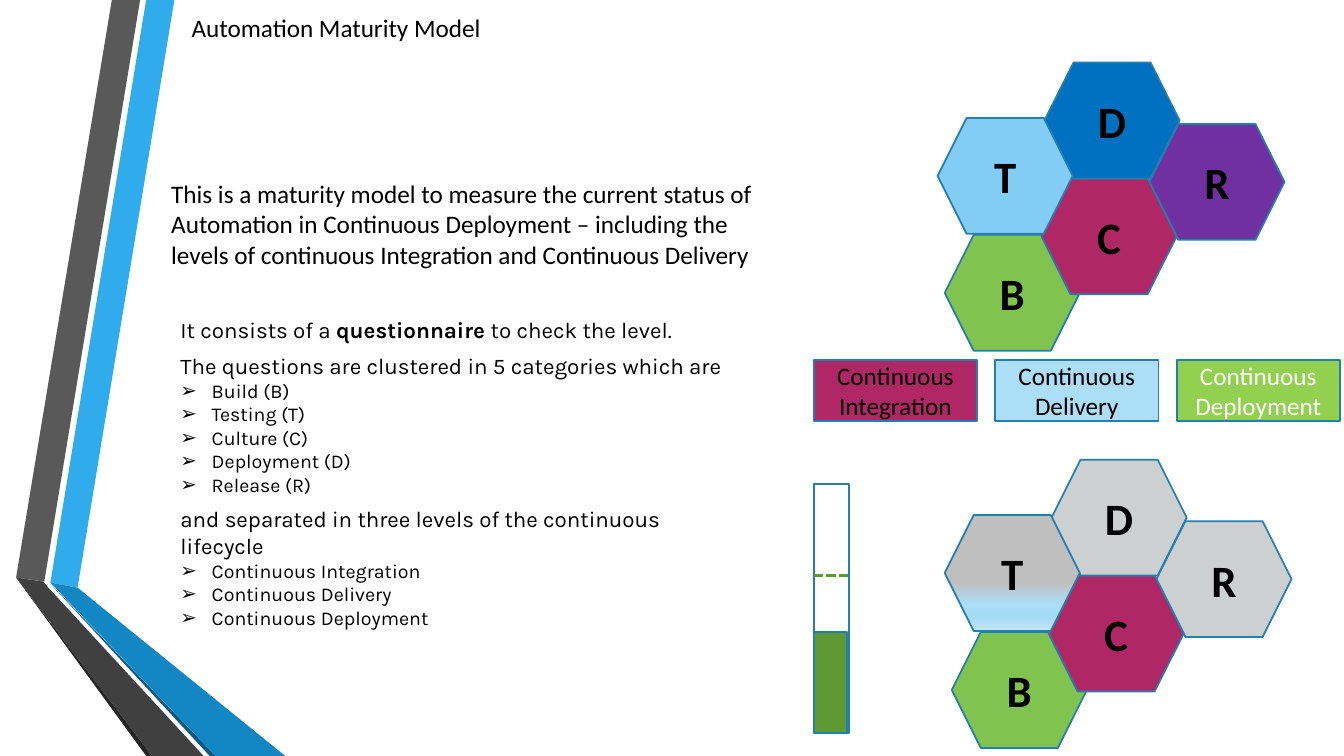
import copy
from dataclasses import dataclass

import pptx
import pptx.dml.color
import pptx.enum.dml
import pptx.enum.shapes
import pptx.enum.text
import pptx.oxml
import pptx.oxml.ns
import pptx.util

Inches, Pt = pptx.util.Inches, pptx.util.Pt
RGBColor = pptx.dml.color.RGBColor
Shapes = pptx.enum.shapes.MSO_SHAPE
Align = pptx.enum.text.PP_ALIGN
Anchor = pptx.enum.text.MSO_ANCHOR
qn = pptx.oxml.ns.qn

BLACK = RGBColor(0x00, 0x00, 0x00)
WHITE = RGBColor(0xFF, 0xFF, 0xFF)
OUTLINE = RGBColor(0x24, 0x7F, 0xAF)
GREEN = RGBColor(0x80, 0xC3, 0x4F)
LIME = RGBColor(0x92, 0xD0, 0x50)
DARK_GREEN = RGBColor(0x5F, 0x99, 0x34)
PURPLE = RGBColor(0x70, 0x30, 0xA0)
CRIMSON = RGBColor(0xAF, 0x27, 0x64)
BLUE = RGBColor(0x00, 0x70, 0xC0)
SKY = RGBColor(0x83, 0xCD, 0xF4)
PALE_BLUE = RGBColor(0xAC, 0xDE, 0xF7)
GREY = RGBColor(0xCD, 0xD0, 0xD1)
PARTLY_REACHED = [(0.58, RGBColor(0xBF, 0xBF, 0xBF)), (0.77, PALE_BLUE),
                  (0.86, RGBColor(0xA2, 0xDA, 0xF6)), (1, RGBColor(0xC1, 0xE6, 0xF9))]


@dataclass
class Ribbon:
    color: RGBColor
    points: list[tuple[float, float]]


@dataclass
class Category:
    letter: str
    left: float
    top: float
    color: RGBColor
    status_color: RGBColor


@dataclass
class Level:
    label: str
    color: RGBColor
    text_color: RGBColor


RIBBONS = [
    Ribbon(RGBColor(0x30, 0xAC, 0xEC), [(0.5, 5.78), (0.77, 5.83), (1.73, 0), (1.45, 0)]),
    Ribbon(RGBColor(0x59, 0x59, 0x59), [(1.39, 0), (1.11, 0), (0.16, 5.73), (0.44, 5.77)]),
    Ribbon(RGBColor(0x26, 0x26, 0x26), [(0.16, 5.73), (1.45, 7.5), (1.51, 7.5)]),
    Ribbon(RGBColor(0x0C, 0x5A, 0x82), [(0.5, 5.79), (2.08, 7.5), (2.14, 7.5)]),
    Ribbon(RGBColor(0x12, 0x87, 0xC3),
           [(0.5, 5.78), (2.14, 7.5), (2.83, 7.5), (0.77, 5.83)]),
    Ribbon(RGBColor(0x40, 0x40, 0x40),
           [(2.02, 7.5), (0.48, 5.83), (0.43, 5.77), (0.16, 5.73), (1.51, 7.5)]),
]
CATEGORIES = [
    Category("B", 9.37, 2.33, GREEN, GREEN),
    Category("R", 11.4, 1.23, PURPLE, GREY),
    Category("C", 10.33, 1.77, CRIMSON, CRIMSON),
    Category("D", 10.36, 0.62, BLUE, GREY),
    Category("T", 9.3, 1.17, SKY, GREY),
]
LEVELS = [
    Level("Continuous Integration", CRIMSON, BLACK),
    Level("Continuous Delivery", PALE_BLUE, BLACK),
    Level("Continuous Deployment", LIME, WHITE),
]
STATUS_SHIFT = (0.07, 3.94)

deck = pptx.Presentation()
deck.slide_width, deck.slide_height = Inches(13.33), Inches(7.5)
slide = deck.slides.add_slide(deck.slide_layouts[1])


def box(left: float, top: float, width: float, height: float) -> list[int]:
    return [Inches(value) for value in (left, top, width, height)]


def place(part, left: float, top: float, width: float, height: float) -> None:
    part.left, part.top, part.width, part.height = box(left, top, width, height)


def style(paragraph, size: float, font: str = "Calibri", color: RGBColor = BLACK,
          bold: bool | None = None, align=Align.LEFT) -> None:
    paragraph.alignment = align
    paragraph.font.size, paragraph.font.name = Pt(size), font
    paragraph.font.bold, paragraph.font.color.rgb = bold, color


def set_frame(frame) -> None:
    frame.word_wrap = True
    frame.auto_size = pptx.enum.text.MSO_AUTO_SIZE.NONE
    frame.vertical_anchor = Anchor.TOP


def add_ribbon(ribbon: Ribbon) -> None:
    points = [(Inches(x), Inches(y)) for x, y in ribbon.points]
    builder = slide.shapes.build_freeform(*points[0])
    builder.add_line_segments(points[1:], close=True)
    band = builder.convert_to_shape()
    band.shadow.inherit = False
    band.fill.solid()
    band.fill.fore_color.rgb = ribbon.color
    band.line.fill.background()


def add_block(kind, bounds: list[int], color: RGBColor | None, text: str = "",
              size: float = 18, text_color: RGBColor = BLACK, bold: bool = False):
    block = slide.shapes.add_shape(kind, *bounds)
    block.shadow.inherit = False
    if color is None:
        block.fill.background()
    else:
        block.fill.solid()
        block.fill.fore_color.rgb = color
    block.line.color.rgb, block.line.width = OUTLINE, Pt(1.25)
    if text:
        block.text_frame.text = text
        block.text_frame.vertical_anchor = Anchor.MIDDLE
        style(block.text_frame.paragraphs[0], size, color=text_color, bold=bold,
              align=Align.CENTER)
    return block


def add_category(category: Category, color: RGBColor, shift: tuple[float, float] = (0, 0)):
    bounds = box(category.left + shift[0], category.top + shift[1], 1.34, 1.15)
    return add_block(Shapes.HEXAGON, bounds, color, category.letter, 32, bold=True)


def fill_gradient(fill, shape, stops: list[tuple[float, RGBColor]]) -> None:
    fill.gradient()
    fill.gradient_angle = 270
    stop_list = next(shape._element.iter(qn("a:gsLst")))
    for _ in range(len(stops) - len(stop_list)):
        stop_list.append(copy.deepcopy(stop_list[0]))
    for stop, (position, color) in zip(fill.gradient_stops, stops):
        stop.position, stop.color.rgb = position, color


def set_bullet(paragraph, bullet: str | None) -> None:
    properties = paragraph._p.get_or_add_pPr()
    indent = Inches(0.31) if bullet else 0
    properties.set("marL", str(indent))
    properties.set("indent", str(-indent))
    if bullet:
        font = pptx.oxml.parse_xml(
            f'<a:buFont {pptx.oxml.ns.nsdecls("a")} typeface="Wingdings"/>')
        font.set("typeface", "Arial")
        properties.append(font)
        properties.append(properties.makeelement(qn("a:buChar"), {"char": bullet}))
    else:
        properties.append(properties.makeelement(qn("a:buNone"), {}))


# Ribbons on the left edge
for ribbon in RIBBONS:
    add_ribbon(ribbon)

# Title and introduction
title = slide.shapes.title
place(title, 1.8, 0.07, 8.31, 0.4)
title.text_frame.text = "Automation Maturity Model"
introduction = slide.shapes.add_textbox(*box(1.6, 1.72, 6.24, 1.01))
introduction.text_frame.text = (
    "This is a maturity model to measure the current status of Automation in Continuous "
    "Deployment – including the levels of continuous Integration and Continuous Delivery")
for heading in (title, introduction):
    set_frame(heading.text_frame)
    style(heading.text_frame.paragraphs[0], 18)

# Questionnaire description: each statement with its list
OUTLINE_TEXT = [
    (["It consists of a ", "questionnaire ", "to check the level."], []),
    (["The questions are clustered in 5 categories which are"],
     ["Build (B)", "Testing (T)", "Culture (C)", "Deployment (D)", "Release (R)"]),
    (["and separated in three levels of the continuous lifecycle"],
     [level.label for level in LEVELS]),
]
description = slide.placeholders[1]
place(description, 1.69, 3.09, 5.71, 3.06)
set_frame(description.text_frame)
lines = [line for statement, items in OUTLINE_TEXT
         for line in [(statement, None)] + [([item], "➢") for item in items]]
for index, (pieces, bullet) in enumerate(lines):
    frame = description.text_frame
    paragraph = frame.add_paragraph() if index else frame.paragraphs[0]
    for piece in pieces:
        run = paragraph.add_run()
        run.text = piece
        if piece.startswith("questionnaire"):
            run.font.bold = True
    paragraph.space_before = Pt(0 if bullet else 6)
    style(paragraph, 14 if bullet else 16, "Karla")
    set_bullet(paragraph, bullet)

# Category honeycombs: all categories, then the status reached
for category in CATEGORIES:
    add_category(category, category.color)
for category in CATEGORIES:
    cell = add_category(category, category.status_color, STATUS_SHIFT)
    if category.letter == "T":
        fill_gradient(cell.fill, cell, PARTLY_REACHED)

# Level legend
for index, level in enumerate(LEVELS):
    add_block(Shapes.RECTANGLE, box(8.07 + 1.8 * index, 3.57, 1.62, 0.61),
              level.color, level.label, text_color=level.text_color)

# Progress gauge
add_block(Shapes.RECTANGLE, box(8.07, 4.8, 0.35, 2.47), None)
target = slide.shapes.add_connector(pptx.enum.shapes.MSO_CONNECTOR.STRAIGHT,
                                    *box(8.07, 5.71, 8.42, 5.71))
target.line.color.rgb, target.line.width = DARK_GREEN, Pt(2.25)
target.line.dash_style = pptx.enum.dml.MSO_LINE.SQUARE_DOT
target_properties = target._element.spPr
target_properties.append(target_properties.makeelement(qn("a:effectLst"), {}))
add_block(Shapes.RECTANGLE, box(8.07, 6.27, 0.33, 1), DARK_GREEN)

deck.save("out.pptx")
